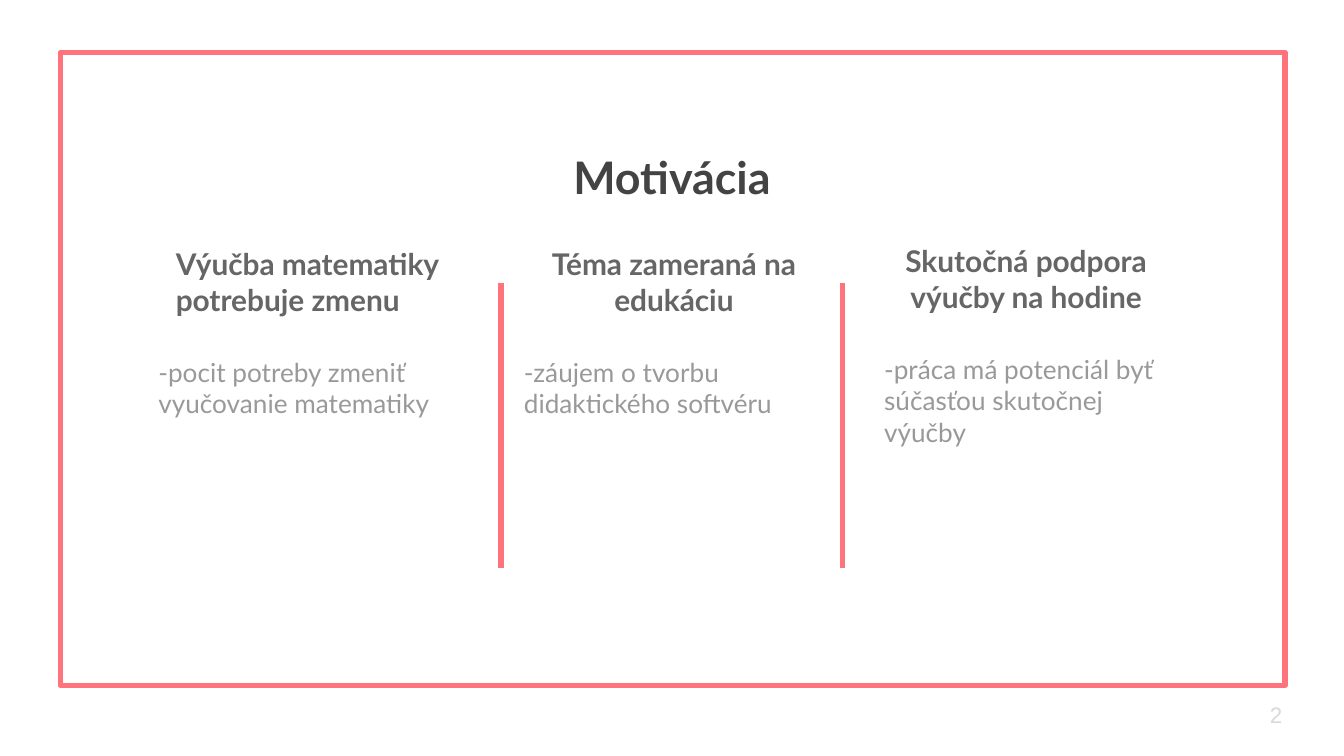
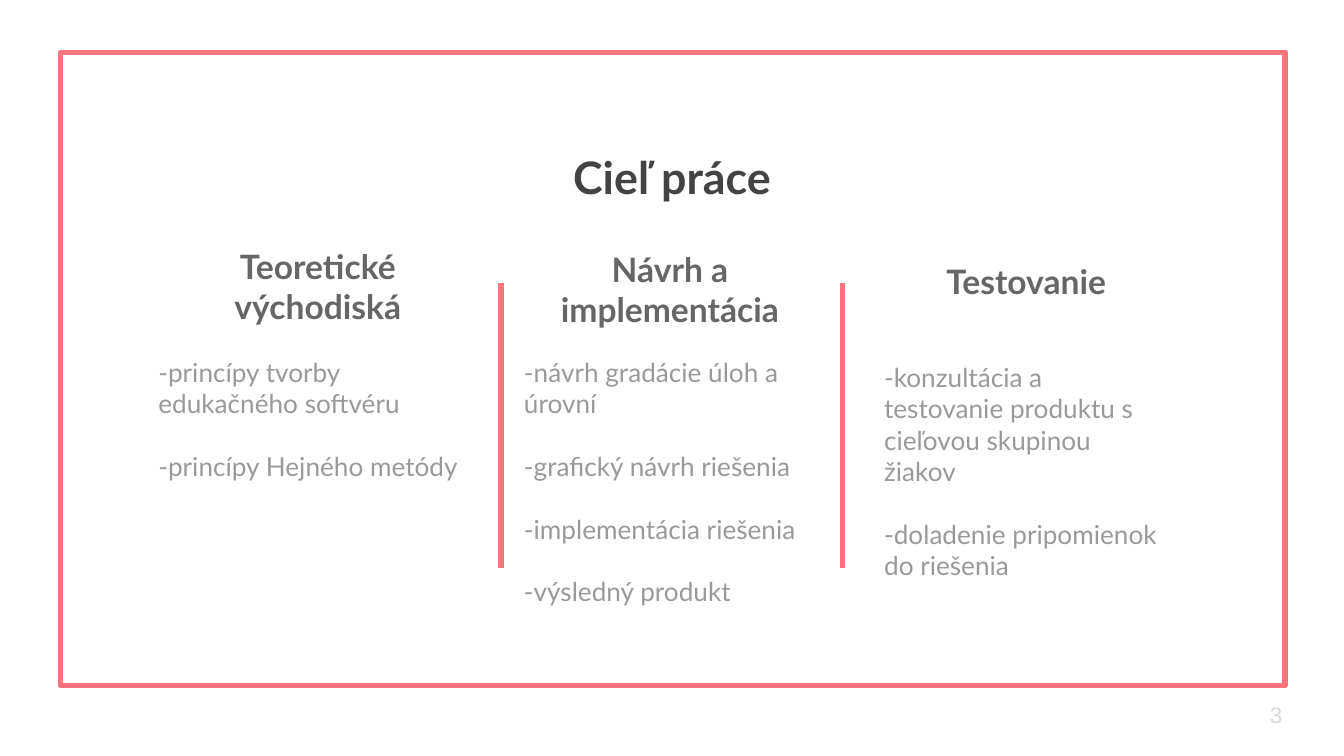
from dataclasses import dataclass

from lxml.etree import SubElement
from pptx import Presentation
from pptx.dml.color import RGBColor
from pptx.enum.shapes import MSO_CONNECTOR, MSO_SHAPE
from pptx.enum.text import MSO_ANCHOR, MSO_AUTO_SIZE, PP_ALIGN
from pptx.oxml.ns import qn
from pptx.util import Inches, Pt

WIDTH, HEIGHT = Inches(10), Inches(5.625)
HUES = {
    "frame": "FF737D",
    "title": "434343",
    "head": "666666",
    "body": "999999",
    "page": "D9D9D9",
}
LEFT, MID = PP_ALIGN.LEFT, PP_ALIGN.CENTER
BARS = (37.3, 62.7)
BODIES = ((10.8, 24.8), (38, 23.1), (64.8, 23.1))


@dataclass(frozen=True)
class Box:
    left: float
    top: float
    width: float
    height: float

    def place(self) -> tuple[int, int, int, int]:
        return (across(self.left), down(self.top),
                across(self.width), down(self.height))


@dataclass(frozen=True)
class Column:
    head: str
    left: float
    top: float
    points: tuple[str, ...]
    start: float = 45.33
    align: PP_ALIGN = MID


@dataclass(frozen=True)
class Page:
    title: str
    size: int
    columns: tuple[Column, ...]


PAGES = (
    Page("Motivácia", 16, (
        Column("Výučba matematiky potrebuje zmenu", 12.1, 31.11,
               ("-pocit potreby zmeniť vyučovanie matematiky",), align=LEFT),
        Column("Téma zameraná na edukáciu", 38.6, 31.11,
               ("-záujem o tvorbu didaktického softvéru",)),
        Column("Skutočná podpora výučby na hodine", 64.8, 30.76,
               ("-práca má potenciál byť súčasťou skutočnej výučby",), 44.98),
    )),
    Page("Cieľ práce", 18, (
        Column("Teoretické východiská", 12.1, 32.36,
               ("-princípy tvorby edukačného softvéru",
                "-princípy Hejného metódy")),
        Column("Návrh a implementácia", 38.3, 32.71,
               ("-návrh gradácie úloh a úrovní",
                "-grafický návrh riešenia",
                "-implementácia riešenia",
                "-výsledný produkt")),
        Column("Testovanie", 64.8, 28.98,
               ("-konzultácia a testovanie produktu s cieľovou skupinou žiakov",
                "-doladenie pripomienok do riešenia"), 46.04),
    )),
)


def across(share: float) -> int:
    return round(WIDTH * share / 100)


def down(share: float) -> int:
    return round(HEIGHT * share / 100)


def hue(name: str) -> RGBColor:
    return RGBColor.from_string(HUES[name])


def write(shape, *lines: str, size: int, tone: str, font: str = "Lato",
          bold: bool = False, align: PP_ALIGN = LEFT,
          anchor: MSO_ANCHOR = MSO_ANCHOR.TOP) -> None:
    frame = shape.text_frame
    frame.word_wrap = True
    frame.auto_size = MSO_AUTO_SIZE.NONE
    frame.vertical_anchor = anchor
    frame.margin_left = frame.margin_right = Inches(0.1)
    frame.margin_top = frame.margin_bottom = Inches(0.1)
    for i, line in enumerate(lines):
        para = frame.add_paragraph() if i else frame.paragraphs[0]
        para.alignment = align
        para.space_before = Pt(size * 1.2 if i else 0)
        run = para.add_run()
        run.text = line
        run.font.name = font
        run.font.size = Pt(size)
        run.font.bold = bold
        run.font.color.rgb = hue(tone)


def label(slide, box: Box, *lines: str, **style) -> None:
    write(slide.shapes.add_textbox(*box.place()), *lines, **style)


def stroke(line) -> None:
    line.color.rgb = hue("frame")
    line.width = Pt(3)


def draw_frame(slide) -> None:
    area = Box(4.5, 6.93, 91.1, 83.73)
    frame = slide.shapes.add_shape(MSO_SHAPE.RECTANGLE, *area.place())
    frame.shadow.inherit = False
    frame.fill.background()
    stroke(frame.line)


def draw_bar(slide, left: float) -> None:
    bar = slide.shapes.add_connector(
        MSO_CONNECTOR.STRAIGHT,
        across(left), down(37.5), across(left), down(75.2))
    stroke(bar.line)
    SubElement(bar._element.spPr, qn("a:effectLst"))


def draw_title(slide, text: str) -> None:
    title = slide.shapes.title
    title.left, title.top, title.width, title.height = Box(
        0, 18, 100, 9.42).place()
    write(title, text, size=24, tone="title", bold=True, align=MID)


def draw_column(slide, col: Column, body: tuple[float, float],
                size: int) -> None:
    left, width = body
    label(slide, Box(col.left, col.top, 23.1, 12.62), col.head, size=size,
          tone="head", bold=True, align=col.align, anchor=MSO_ANCHOR.BOTTOM)
    label(slide, Box(left, col.start, width, 30.22), *col.points,
          size=14, tone="body")


def draw_page(deck, page: Page, count: int) -> None:
    slide = deck.slides.add_slide(deck.slide_layouts[5])
    draw_frame(slide)
    draw_title(slide, page.title)
    for left in BARS:
        draw_bar(slide, left)
    label(slide, Box(93.5, 90.67, 6, 7.64), str(count), size=12,
          tone="page", font="Arial", anchor=MSO_ANCHOR.MIDDLE)
    for col, body in zip(page.columns, BODIES):
        draw_column(slide, col, body, page.size)


def main() -> None:
    deck = Presentation()
    deck.slide_width, deck.slide_height = WIDTH, HEIGHT
    for count, page in enumerate(PAGES, 2):
        draw_page(deck, page, count)
    deck.save("out.pptx")


if __name__ == "__main__":
    main()
